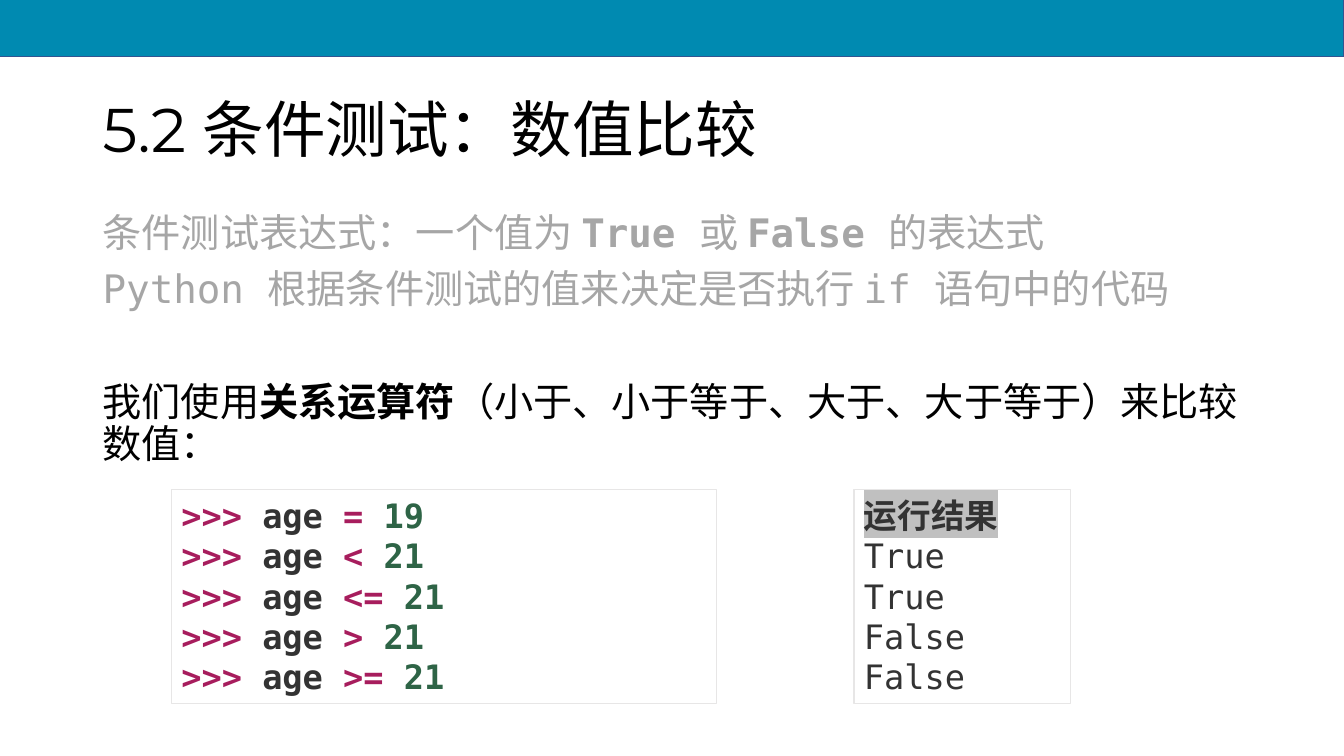
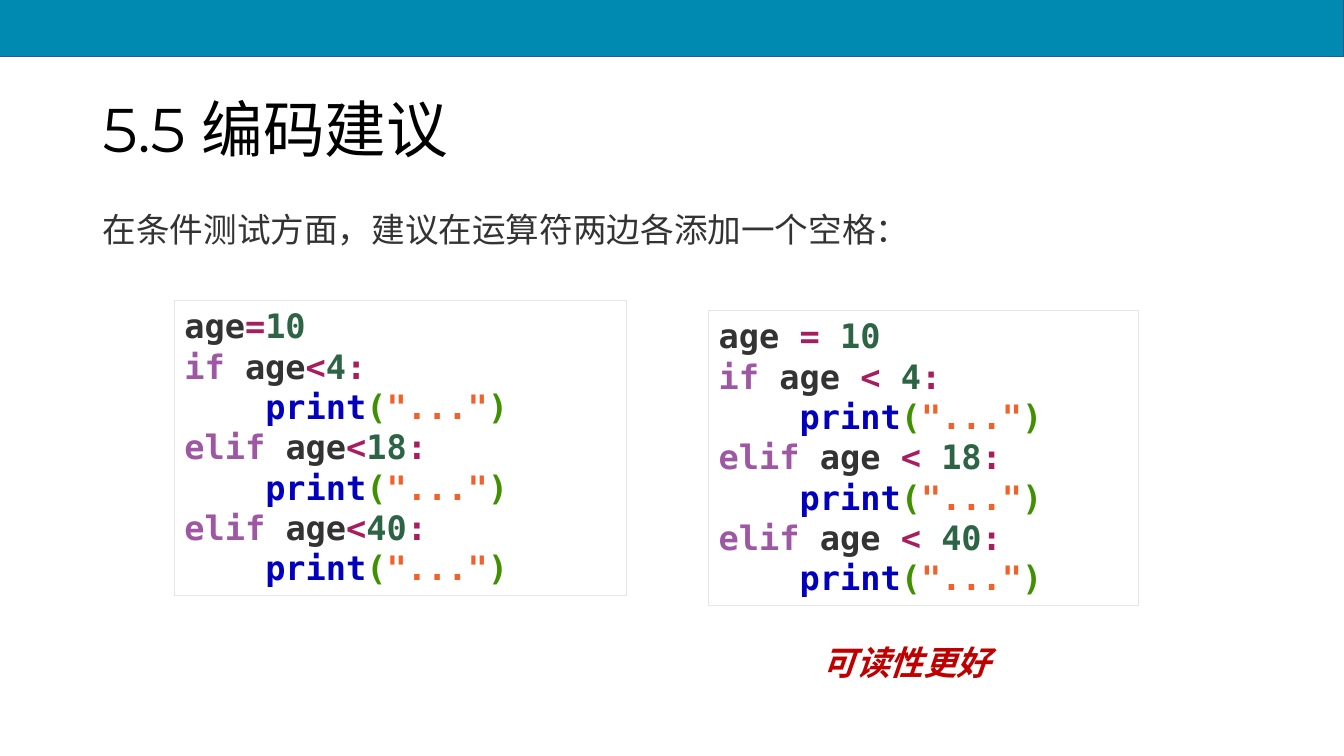
"""Build two slides on comparing numbers and on spacing around operators."""
import pptx
import pptx.dml.color
import pptx.enum.lang
import pptx.enum.shapes
import pptx.enum.text
import pptx.util
from lxml import etree
from pptx.oxml.ns import qn
from pptx.util import Inches, Pt

COLORS = {
    "band": "008AB1", "band_line": "325491", "box_line": "E7E6E6",
    "black": "000000", "muted": "A6A6A6", "text": "333333",
    "operator": "A71D5D", "number": "2E6446", "keyword": "9E58A3",
    "call": "0200BD", "bracket": "3F9101", "string": "F2612A",
    "praise": "C00000", "highlight": "C0C0C0",
}
SANS, MONO, TITLE, CJK = "Arial", "DejaVu Sans Mono", "Montserrat", "Noto Sans CJK SC"
BODY_AREA = (0.92, 2.07, 11.5, 4.76)

COMPARE_TITLE = "5.2 条件测试：数值比较"
COMPARE_BODY = [
    {"color": "muted", "before": 10, "spans": [
        ("条件测试表达式：一个值为 ", {}), ("True ", {"font": MONO, "bold": True}),
        ("或 ", {}), ("False ", {"font": MONO, "bold": True}), ("的表达式", {})]},
    {"color": "muted", "before": 10, "spans": [
        ("Python ", {"font": MONO}), ("根据条件测试的值来决定是否执行 ", {}),
        ("if ", {"font": MONO}), ("语句中的代码", {})]},
    {"color": "black", "before": 50, "spans": [
        ("我们使用", {}), ("关系运算符", {"bold": True}),
        ("（小于、小于等于、大于、大于等于）来比较数值：", {})]},
]
PROMPTS = [("=", "19"), ("<", "21"), ("<=", "21"), (">", "21"), (">=", "21")]
RESULT_HEADING = "运行结果"
RESULTS = ["True", "True", "False", "False"]

ADVICE_TITLE = "5.5 编码建议"
ADVICE_BODY = [{"color": "text", "before": 10,
                "spans": [("在条件测试方面，建议在运算符两边各添加一个空格：", {})]}]
BRANCHES = [("if", "4"), ("elif", "18"), ("elif", "40")]
PRAISE = "可读性更好"


def rgb(name):
    return pptx.dml.color.RGBColor.from_string(COLORS[name])


def token(text, color):
    return text, {"color": color}


def write(frame, paragraphs, font, size, spacing=1.0):
    frame.word_wrap = True
    for index, item in enumerate(paragraphs):
        para = frame.paragraphs[0] if index == 0 else frame.add_paragraph()
        para.alignment = pptx.enum.text.PP_ALIGN.LEFT
        para.line_spacing = spacing
        para.space_before = Pt(item.get("before", 0))
        para.font.name = font
        para.font.size = Pt(size)
        para.font.bold = item.get("bold", False)
        para.font.italic = item.get("italic", False)
        para.font.color.rgb = rgb(item["color"])
        para.font.language_id = pptx.enum.lang.MSO_LANGUAGE_ID.SIMPLIFIED_CHINESE
        for text, style in item["spans"]:
            span = para.add_run()
            span.text = text
            span.font.color.rgb = rgb(style.get("color", item["color"]))
            if "font" in style:
                span.font.name = style["font"]
            if "bold" in style:
                span.font.bold = style["bold"]
            if "highlight" in style:
                mark = etree.SubElement(span._r.get_or_add_rPr(), qn("a:highlight"))
                etree.SubElement(mark, qn("a:srgbClr"), val=COLORS[style["highlight"]])


def add_rectangle(page, area, line_color, line_width):
    shape = page.shapes.add_shape(
        pptx.enum.shapes.MSO_SHAPE.RECTANGLE, *map(Inches, area))
    shape.shadow.inherit = False
    shape.fill.background()
    shape.line.color.rgb = rgb(line_color)
    shape.line.width = Pt(line_width)
    return shape


def add_text(page, area, paragraphs, font, size, spacing=1.0):
    box = page.shapes.add_textbox(*map(Inches, area))
    write(box.text_frame, paragraphs, font, size, spacing)
    return box


def add_code(page, area, paragraphs):
    box = add_rectangle(page, area, "box_line", 0.75)
    box.text_frame.vertical_anchor = pptx.enum.text.MSO_ANCHOR.TOP
    write(box.text_frame, paragraphs, MONO, 24)
    box.text_frame.auto_size = pptx.enum.text.MSO_AUTO_SIZE.SHAPE_TO_FIT_TEXT


def add_page(deck, title, body, body_size):
    page = deck.slides.add_slide(deck.slide_layouts[6])
    band = add_rectangle(page, (-0.02, -0.02, 13.35, 0.58), "band_line", 1)
    band.fill.solid()
    band.fill.fore_color.rgb = rgb("band")
    heading = [{"color": "black", "spans": [(title, {})]}]
    box = add_text(page, (0.92, 0.77, 11.5, 1.1), heading, TITLE, 44, 0.9)
    box.text_frame.vertical_anchor = pptx.enum.text.MSO_ANCHOR.MIDDLE
    add_text(page, BODY_AREA, body, SANS, body_size, 0.9)
    return page


def code_line(*tokens):
    return {"color": "text", "bold": True, "spans": list(tokens)}


def prompt_lines():
    return [code_line(token(">>> ", "operator"), token("age ", "text"),
                      token(sign + " ", "operator"), token(number, "number"))
            for sign, number in PROMPTS]


def branch_lines(gap):
    lines = [code_line(token("age" + gap, "text"), token("=" + gap, "operator"),
                       token("10", "number"))]
    for keyword, limit in BRANCHES:
        lines.append(code_line(
            token(keyword + " ", "keyword"), token("age" + gap, "text"),
            token("<" + gap, "operator"), token(limit, "number"),
            token(":", "operator")))
        lines.append(code_line(
            token("    ", "text"), token("print", "call"), token("(", "bracket"),
            token('"..."', "string"), token(")", "bracket")))
    return lines


def main():
    deck = pptx.Presentation()
    deck.slide_width, deck.slide_height = Inches(13.33), Inches(7.5)

    page = add_page(deck, COMPARE_TITLE, COMPARE_BODY, 28)
    add_code(page, (1.7, 4.86, 5.41, 2.12), prompt_lines())
    results = [{"color": "text", "bold": True,
                "spans": [(RESULT_HEADING, {"highlight": "highlight"})]}]
    results += [{"color": "text", "spans": [(value, {})]} for value in RESULTS]
    add_code(page, (8.47, 4.86, 2.15, 2.12), results)

    page = add_page(deck, ADVICE_TITLE, ADVICE_BODY, 24)
    add_code(page, (7.03, 3.08, 4.26, 2.93), branch_lines(" "))
    add_code(page, (1.73, 2.98, 4.48, 2.93), branch_lines(""))
    praise = [{"color": "praise", "bold": True, "italic": True,
               "spans": [(PRAISE, {})]}]
    add_text(page, (8.06, 6.32, 2.19, 0.5), praise, CJK, 24)

    deck.save("out.pptx")


if __name__ == "__main__":
    main()
